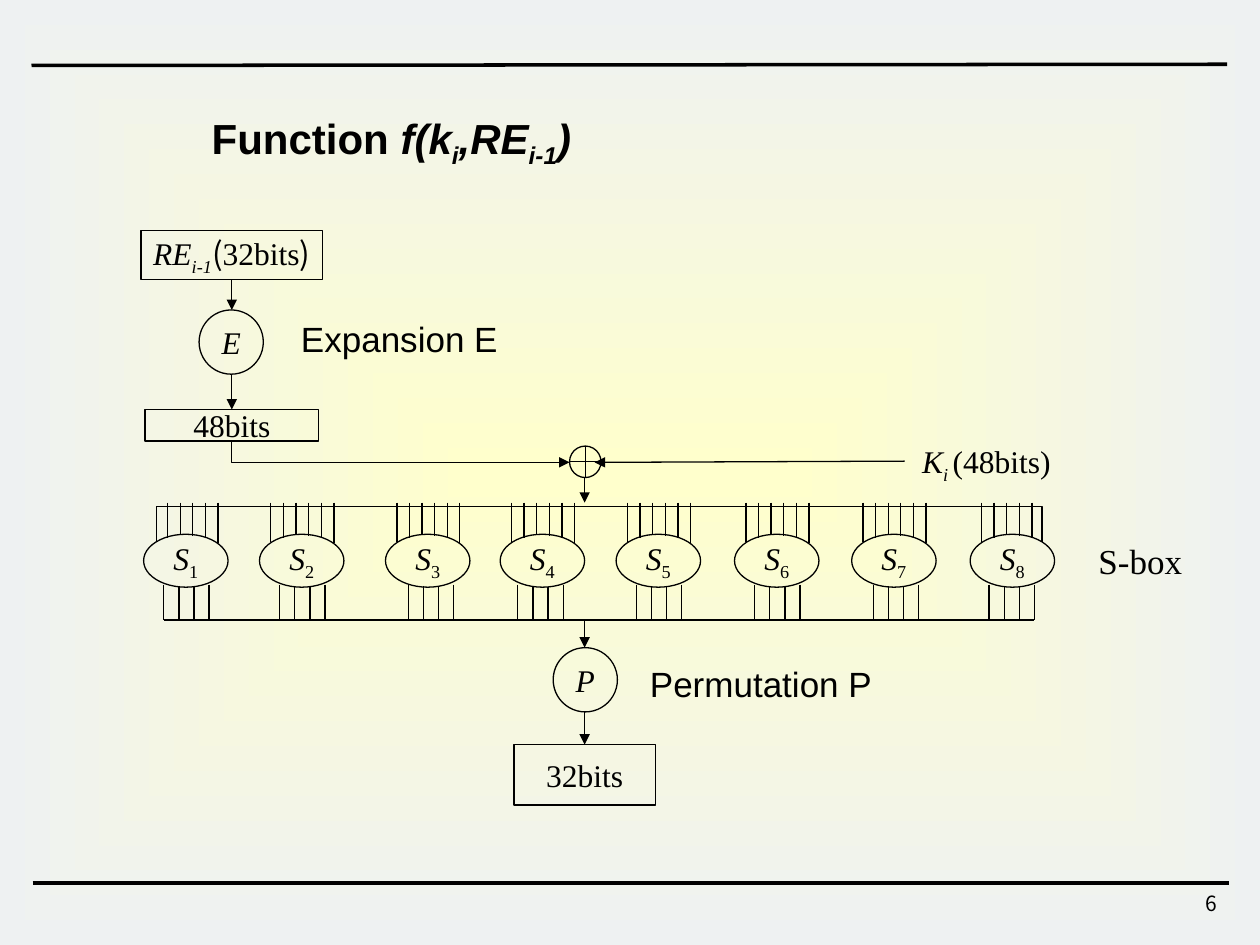
from pptx import Presentation
from pptx.dml.color import RGBColor
from pptx.enum.shapes import MSO_CONNECTOR, MSO_SHAPE
from pptx.enum.text import MSO_ANCHOR, MSO_AUTO_SIZE, PP_ALIGN
from pptx.oxml import parse_xml
from pptx.oxml.ns import nsdecls, qn
from pptx.util import Cm, Pt

SERIF, SANS, CJK = "Times New Roman", "Arial", "Noto Sans CJK KR"
INK = "000000"


def color(hex_string):
    return RGBColor.from_string(hex_string)


def length(inches):
    return Cm(2.54 * inches)


class Diagram:
    """Draws styled elements on the current slide."""

    def __init__(self, slide, line_width=0.75):
        self.slide = slide
        self.line_width = line_width

    def background(self, center, edge):
        fill = self.slide.background.fill
        fill.gradient()
        for stop, hex_string in zip(fill.gradient_stops, (center, edge)):
            stop.color.rgb = color(hex_string)
        gradient = self.slide.element.find(".//" + qn("a:gradFill"))
        direction = gradient.find(qn("a:lin"))
        gradient.replace(direction, parse_xml(
            f'<a:path {nsdecls("a")} path="shape">'
            '<a:fillToRect l="50000" t="50000" r="50000" b="50000"/></a:path>'))

    def add_text(self, frame, runs, size, font=SERIF, align=PP_ALIGN.LEFT,
                 anchor=MSO_ANCHOR.TOP, bold=False):
        frame.word_wrap = False
        frame.auto_size = MSO_AUTO_SIZE.NONE
        frame.vertical_anchor = anchor
        paragraph = frame.paragraphs[0]
        paragraph.alignment = align
        for text, style, *run_font in runs:
            run = paragraph.add_run()
            run.text = text
            run.font.name = run_font[0] if run_font else font
            run.font.size = Pt(size)
            run.font.bold = bold
            run.font.italic = "italic" in style
            run.font.color.rgb = color(INK)
            if "sub" in style:
                run.font._element.set("baseline", "-25000")

    def title(self, box, runs, size):
        title = self.slide.shapes.title
        title.left, title.top, title.width, title.height = map(length, box)
        self.add_text(title.text_frame, runs, size, SANS, bold=True)

    def label(self, box, runs, size, font=SERIF, align=PP_ALIGN.LEFT):
        text_box = self.slide.shapes.add_textbox(*map(length, box))
        self.add_text(text_box.text_frame, runs, size, font, align)

    def outline(self, shape):
        shape.shadow.inherit = False
        shape.fill.background()
        shape.line.color.rgb = color(INK)
        shape.line.width = Pt(self.line_width)

    def node(self, kind, box, runs=()):
        shape = self.slide.shapes.add_shape(kind, *map(length, box))
        self.outline(shape)
        self.add_text(shape.text_frame, runs, 18, align=PP_ALIGN.CENTER,
                      anchor=MSO_ANCHOR.MIDDLE)
        return shape

    def line(self, start, end, arrow=None, width=None, kind=MSO_CONNECTOR.STRAIGHT):
        connector = self.slide.shapes.add_connector(kind, *map(length, start + end))
        connector.line.color.rgb = color(INK)
        connector.line.width = Pt(width or self.line_width)
        if arrow:
            connector.line._get_or_add_ln().append(
                parse_xml(f'<a:{arrow} {nsdecls("a")} type="triangle"/>'))
        connector._element.spPr.append(parse_xml(f'<a:effectLst {nsdecls("a")}/>'))
        return connector

    def arrow(self, start, end):
        return self.line(start, end, "tailEnd")

    def elbow_from_arrowhead(self, tip, origin):
        connector = self.line(tip, origin, "headEnd", kind=MSO_CONNECTOR.ELBOW)
        connector._element.spPr.find(qn("a:prstGeom")).set("prst", "bentConnector2")
        return connector

    def polyline(self, points):
        first, *others = [tuple(map(length, point)) for point in points]
        builder = self.slide.shapes.build_freeform(*first)
        builder.add_line_segments(others, close=False)
        self.outline(builder.convert_to_shape())

    def s_box(self, number, left, output_left, input_wires):
        self.node(MSO_SHAPE.OVAL, (left, 4.24, 0.67, 0.42),
                  [("S", "italic"), (str(number), "sub")])
        input_ends = (4.3, 4.27, 4.24, 4.25, 4.27, 4.31)
        for wire in input_wires:
            x = left + 0.09 + 0.1 * wire
            self.line((x, 3.99), (x, input_ends[wire]))
        for wire, top in enumerate((4.64, 4.65, 4.66, 4.64)):
            x = output_left + 0.12 * wire
            self.line((x, top), (x, 4.92))


def main():
    presentation = Presentation()
    presentation.slide_width, presentation.slide_height = length(10), length(7.5)
    slide = presentation.slides.add_slide(presentation.slide_layouts[5])
    diagram = Diagram(slide)

    diagram.background("FFFFCC", "EEF1F2")
    diagram.line((0.25, 0.52), (9.74, 0.51), width=2)
    diagram.line((0.26, 7.01), (9.75, 7.01), width=2)
    diagram.label((7.68, 7.02, 2.08, 0.33), [("6", "")], 12, CJK, PP_ALIGN.RIGHT)
    diagram.title((1.58, 0.84, 3.19, 0.5), [
        ("Function ", ""), ("f(k", "italic"), ("i", "italic sub"),
        (",RE", "italic"), ("i-1", "italic sub"), (")", "italic")], 24)

    half_block = diagram.node(MSO_SHAPE.RECTANGLE, (1.12, 1.83, 1.44, 0.39), [
        ("RE", "italic"), ("i-1", "italic sub"), ("(", "", CJK),
        ("32bits", ""), (")", "", CJK)])
    diagram.node(MSO_SHAPE.OVAL, (1.58, 2.46, 0.51, 0.51), [("E", "italic")])
    expanded = diagram.node(MSO_SHAPE.RECTANGLE, (1.15, 3.25, 1.38, 0.25), [("48bits", "")])
    diagram.node(MSO_SHAPE.FLOWCHART_OR, (4.52, 3.54, 0.25, 0.25))
    diagram.node(MSO_SHAPE.OVAL, (4.39, 5.14, 0.51, 0.51), [("P", "italic")])
    result = diagram.node(MSO_SHAPE.RECTANGLE, (4.08, 5.91, 1.12, 0.48), [("32bits", "")])

    diagram.arrow((1.84, 2.22), (1.84, 2.46)).begin_connect(half_block, 2)
    diagram.arrow((1.84, 2.98), (1.84, 3.25)).end_connect(expanded, 0)
    diagram.elbow_from_arrowhead((4.52, 3.67), (1.84, 3.5)).end_connect(expanded, 2)
    diagram.arrow((7.18, 3.66), (4.72, 3.67))
    diagram.arrow((4.64, 3.79), (4.64, 3.99))
    diagram.arrow((4.64, 4.92), (4.64, 5.14))
    diagram.arrow((4.64, 5.65), (4.64, 5.91)).end_connect(result, 0)

    diagram.polyline([(1.24, 4.3), (1.24, 4.02), (8.27, 4.02), (8.27, 4.3)])
    diagram.line((1.3, 4.92), (8.21, 4.92))
    s_boxes = [(1.14, 1.3), (2.06, 2.22), (3.06, 3.24), (3.97, 4.11),
               (4.89, 5.05), (5.83, 5.99), (6.76, 6.93), (7.7, 7.85)]
    outer_wires = {1: range(1, 6), 8: range(5)}
    for number, (left, output_left) in enumerate(s_boxes, 1):
        diagram.s_box(number, left, output_left, outer_wires.get(number, range(6)))

    diagram.label((7.22, 3.46, 1.6, 0.4), [
        ("K", "italic"), ("i ", "italic sub"), ("(48bits)", "")], 18)
    diagram.label((2.29, 2.47, 1.76, 0.43), [("Expansion E", "")], 20, SANS)
    diagram.label((5.06, 5.21, 1.96, 0.43), [("Permutation P", "")], 20, SANS)
    diagram.label((8.62, 4.23, 0.86, 0.43), [("S-box", "")], 20)
    presentation.save("out.pptx")


if __name__ == "__main__":
    main()
